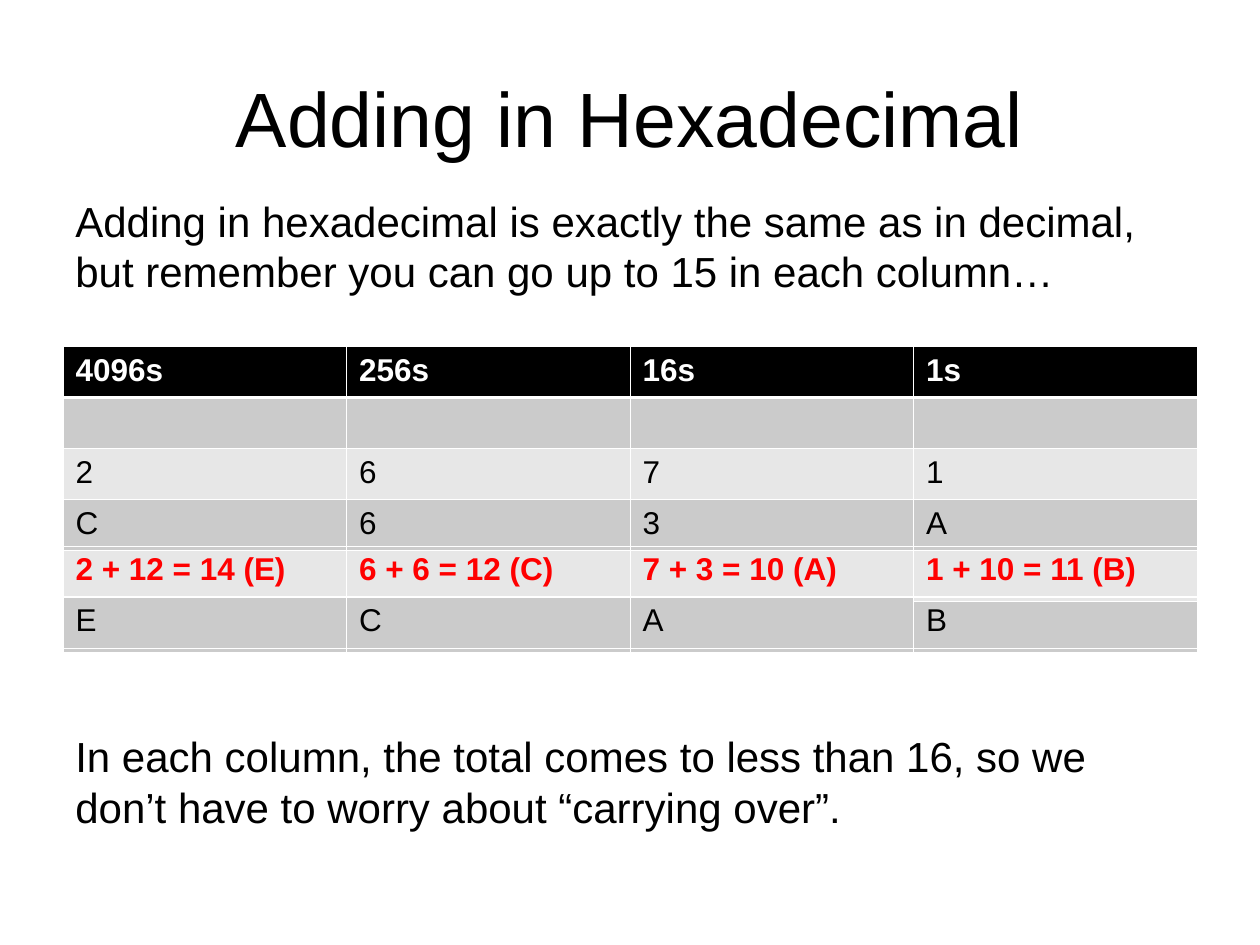
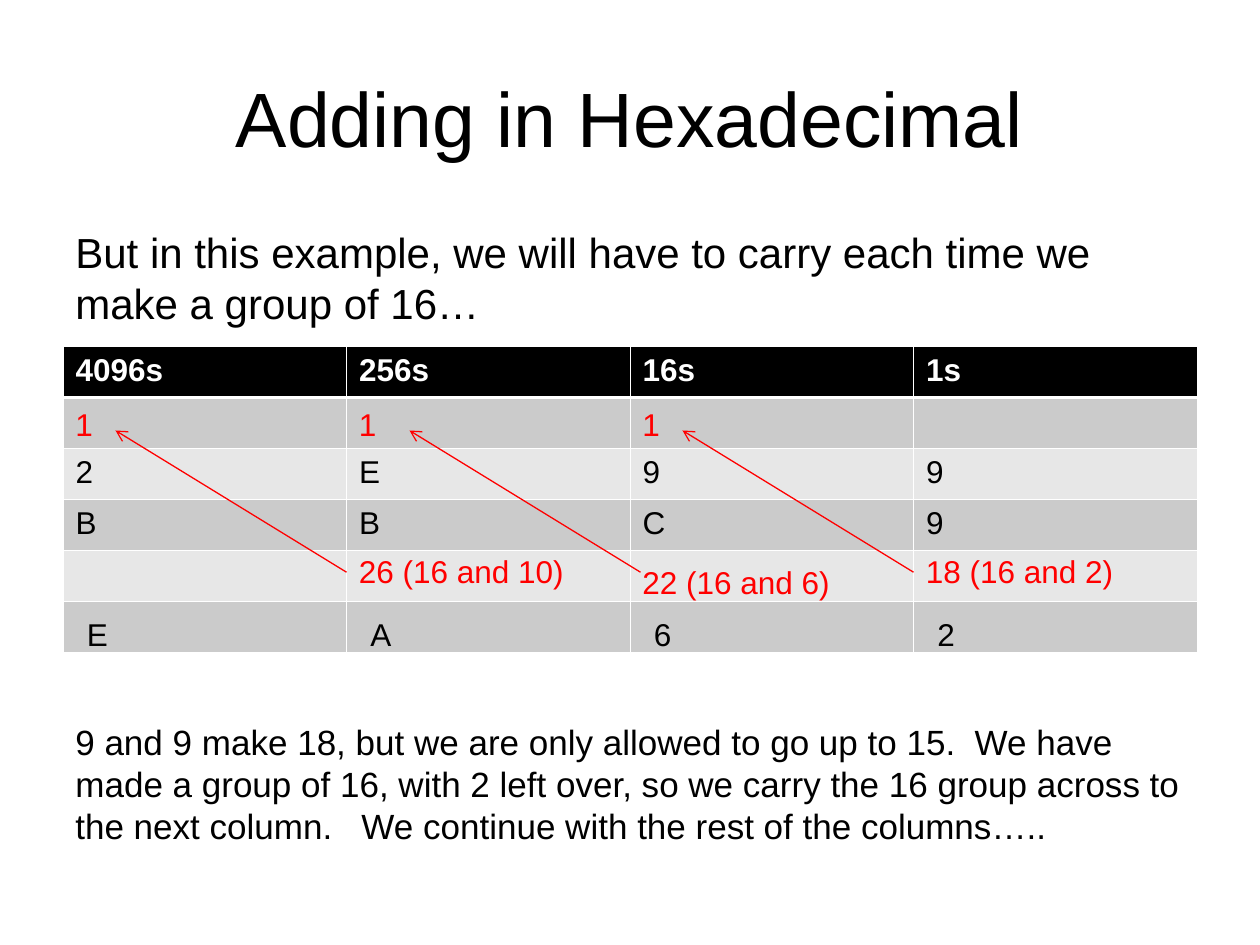
from lxml.etree import SubElement as Sub
from pptx import Presentation
from pptx.dml.color import RGBColor as Rgb
from pptx.enum.shapes import MSO_CONNECTOR as Link
from pptx.enum.text import MSO_ANCHOR as Anchor, PP_ALIGN as Align
from pptx.oxml.ns import qn
from pptx.util import Inches, Pt

HUES = {"ink": "000000", "paper": "FFFFFF", "red": "FF0000", "dark": "CBCBCB", "light": "E7E7E7"}
WIDE, HIGH = Inches(10), Inches(7.5)
UNIT = WIDE // 120
LEFT, COL, ROW = 6, 27, 4.86
HEAD = ["4096s", "256s", "16s", "1s"]
BLANK = [""] * 4
BANDS = ["ink", "dark", "light", "dark", "light", "dark"]


def write(frame, words, size, hue="ink", bold=False):
    frame.word_wrap = True
    run = frame.paragraphs[0].add_run()
    form = {"text": words}
    face = {"name": "Arial", "size": Pt(size), "bold": bold}
    for item, pairs in ((run, form), (run.font, face)):
        for key, value in pairs.items():
            setattr(item, key, value)
    run.font.color.rgb = Rgb.from_string(HUES[hue])


def grid(slide, left, top, rows, fills, hue):
    count = len(rows[0])
    box = [round(n * UNIT) for n in (left, top, COL * count, ROW * len(rows))]
    table = slide.shapes.add_table(len(rows), count, *box).table
    for r, row in enumerate(rows):
        table.rows[r].height = round(ROW * UNIT)
        for c, words in enumerate(row):
            cell = table.cell(r, c)
            edges = {"lnL": 0.45, "lnR": 0.45, "lnT": 1.47 if r == 1 else 0.45, "lnB": 1.47 if r == 0 else 0.45}
            for tag, size in edges.items():
                line = Sub(cell._tc.get_or_add_tcPr(), qn("a:" + tag), w=str(Pt(size)))
                Sub(Sub(line, qn("a:solidFill")), qn("a:srgbClr"), val=HUES["paper"])
            if fills[r]:
                cell.fill.solid()
                cell.fill.fore_color.rgb = Rgb.from_string(HUES[fills[r]])
            else:
                cell.fill.background()
            if words:
                write(cell.text_frame, words, 18, hue if r == 0 else "ink", r == 0)


deck = Presentation()
deck.slide_width, deck.slide_height = WIDE, HIGH

pages = [
    (
        [list("2671"), list("C63A")],
        [
            (18, 10.8, 24, "Adding in hexadecimal is exactly the same as in decimal, but remember you can go up to 15 in each column…"),
            (69, 10.8, 24, "In each column, the total comes to less than 16, so we don’t have to worry about “carrying over”."),
        ],
    ),
    (
        [list("2E99"), list("BBC9")],
        [
            (21, 10.8, 24, "But in this example, we will have to carry each time we make a group of 16…"),
            (68, 13.2, 20, "9 and 9 make 18, but we are only allowed to go up to 15.  We have made a group of 16, with 2 left over, so we carry the 16 group across to the next column.   We continue with the rest of the columns….."),
        ],
    ),
]

slides = []
for terms, notes in pages:
    slide = deck.slides.add_slide(deck.slide_layouts[5])
    slides.append(slide)
    title = slide.shapes.title
    spot = {"left": 6 * UNIT, "top": round(3.6 * UNIT), "width": 108 * UNIT, "height": 15 * UNIT}
    for key, value in spot.items():
        setattr(title, key, value)
    write(title.text_frame, "Adding in Hexadecimal", 44)
    title.text_frame.vertical_anchor = Anchor.MIDDLE
    title.text_frame.paragraphs[0].alignment = Align.CENTER
    grid(slide, LEFT, 33, [HEAD, BLANK, *terms, BLANK, BLANK], BANDS, "paper")
    for top, tall, size, words in notes:
        box = slide.shapes.add_textbox(LEFT * UNIT, top * UNIT, 108 * UNIT, round(tall * UNIT))
        write(box.text_frame, words, size)

plain, carry = slides

sums = [("2 + 12 = 14 (E)", "E"), ("6 + 6 = 12 (C)", "C"), ("7 + 3 = 10 (A)", "A"), ("1 + 10 = 11 (B)", "B")]
for c in (3, 2, 1, 0):
    total, digit = sums[c]
    grid(plain, LEFT + c * COL, 52, [[total], [digit]], [None, None if c == 3 else "dark"], "red")

marks = []
for c, digit in enumerate("EA62"):
    marks.append((c, 1.1, 58, 4.4, digit, "ink"))
for c in range(3):
    marks.append((c, 0, 38, 4.4, "1", "red"))
for c, top, wide, words in ((1, 52, 23, "26 (16 and 10)"), (2, 53, 37, "22 (16 and 6)"), (3, 52, 30, "18 (16 and 2)")):
    marks.append((c, 0, top, wide, words, "red"))

boxes = {}
for c, shift, top, wide, words, hue in marks:
    area = [round(n * UNIT) for n in (LEFT + c * COL + shift, top, wide, 5)]
    boxes[c] = carry.shapes.add_textbox(*area)
    write(boxes[c].text_frame, words, 18, hue)

for c, start in ((3, 87), (2, 61), (1, 33)):
    ends = [round(n * UNIT) for n in (start, 54.5, start - 22, 41)]
    arrow = carry.shapes.add_connector(Link.STRAIGHT, *ends)
    if start == LEFT + c * COL:
        arrow.begin_connect(boxes[c], 1)
    arrow.line.color.rgb = Rgb.from_string(HUES["red"])
    arrow.line.width = Pt(0.75)
    Sub(arrow.line._get_or_add_ln(), qn("a:tailEnd"), type="arrow")
    Sub(arrow._element.spPr, qn("a:effectLst"))

deck.save("out.pptx")
